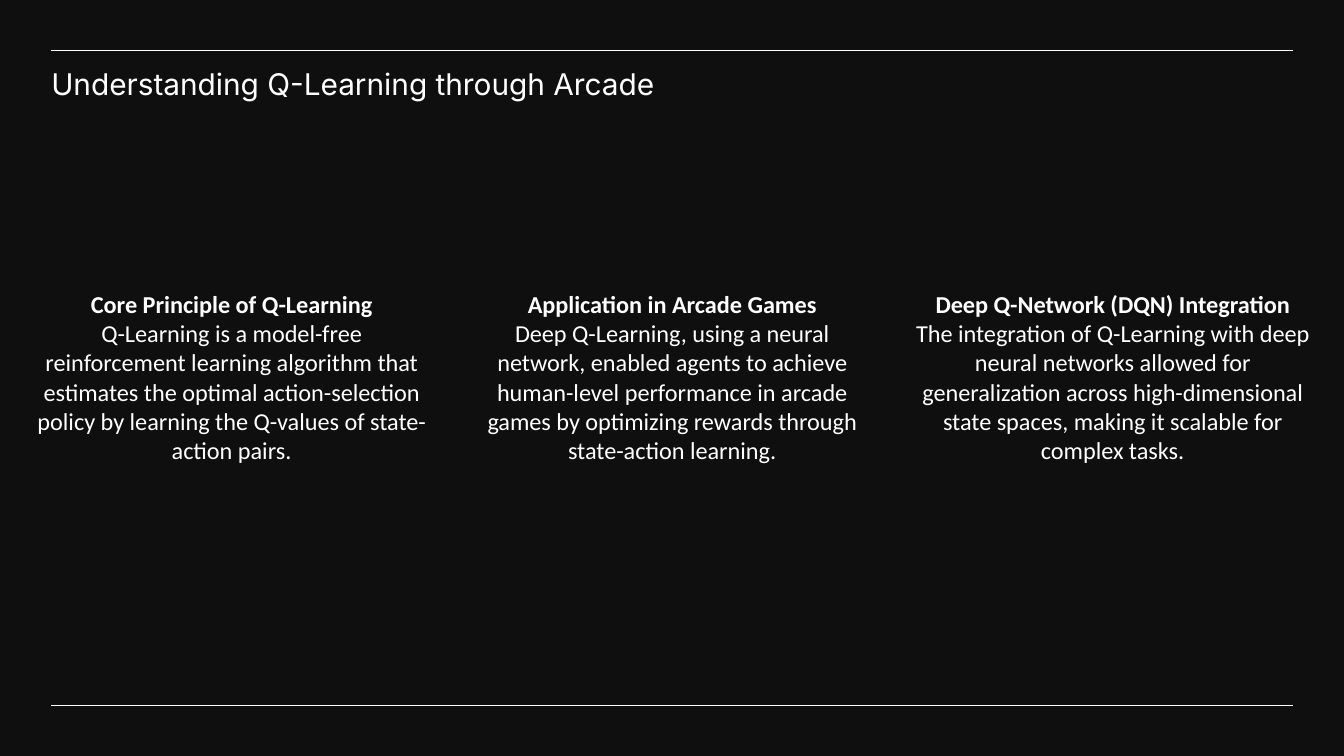
from lxml.etree import SubElement
from pptx import Presentation
from pptx.dml.color import RGBColor
from pptx.enum.shapes import MSO_CONNECTOR
from pptx.enum.text import MSO_ANCHOR, MSO_AUTO_SIZE, PP_ALIGN
from pptx.oxml.ns import qn
from pptx.util import Pt

HEX = {"back": "0F0F0F", "ink": "FFFFFF"}
HEAD = {"name": "Inter", "size": Pt(16), "bold": False}
LEAD = {"name": "Calibri", "size": Pt(13), "bold": True}
BODY = {**LEAD, "bold": False}
CARDS = [
    ("Core Principle of Q-Learning",
     "Q-Learning is a model-free reinforcement learning algorithm that "
     "estimates the optimal action-selection policy by learning the "
     "Q-values of state-action pairs."),
    ("Application in Arcade Games",
     "Deep Q-Learning, using a neural network, enabled agents to achieve "
     "human-level performance in arcade games by optimizing rewards "
     "through state-action learning."),
    ("Deep Q-Network (DQN) Integration",
     "The integration of Q-Learning with deep neural networks allowed for "
     "generalization across high-dimensional state spaces, making it "
     "scalable for complex tasks."),
]


def tint(name):
    return RGBColor.from_string(HEX[name])


def apply(thing, form):
    for key, value in form.items():
        setattr(thing, key, value)


def write(para, text, form, align):
    para.alignment = align
    run = para.add_run()
    run.text = text
    apply(run.font, form)
    run.font.color.rgb = tint("ink")


def set_frame(frame, pad, fit):
    apply(frame, {
        "word_wrap": True, "auto_size": fit,
        "vertical_anchor": MSO_ANCHOR.TOP,
        "margin_left": 0, "margin_right": 0,
        "margin_top": Pt(pad), "margin_bottom": Pt(pad),
    })


def add_rules(slide, left, top, width, height):
    for y in (top, top + height):
        rule = slide.shapes.add_connector(
            MSO_CONNECTOR.STRAIGHT, Pt(left), Pt(y), Pt(left + width), Pt(y))
        rule.line.width = Pt(0.75)
        rule.line.color.rgb = tint("ink")
        SubElement(rule._element.spPr, qn("a:effectLst"))


def add_title(slide, left, top, width, height):
    title = slide.shapes.title
    apply(title, {"left": Pt(left), "top": Pt(top),
                  "width": Pt(width), "height": Pt(height)})
    set_frame(title.text_frame, 7.2, MSO_AUTO_SIZE.NONE)
    write(title.text_frame.paragraphs[0],
          "Understanding Q-Learning through Arcade", HEAD, PP_ALIGN.LEFT)


def add_cards(slide, left, top, width, height, gap=24):
    wide = (width - gap * (len(CARDS) - 1)) / len(CARDS)
    for i, (lead, body) in enumerate(CARDS):
        box = slide.shapes.add_textbox(
            Pt(left + i * (wide + gap)), Pt(top), Pt(wide), Pt(height))
        frame = box.text_frame
        set_frame(frame, 0, MSO_AUTO_SIZE.SHAPE_TO_FIT_TEXT)
        write(frame.paragraphs[0], lead, LEAD, PP_ALIGN.CENTER)
        write(frame.add_paragraph(), body, BODY, PP_ALIGN.CENTER)


def main():
    deck = Presentation()
    deck.slide_width, deck.slide_height = Pt(720), Pt(405)
    slide = deck.slides.add_slide(deck.slide_layouts.get_by_name("Title Only"))
    slide.background.fill.solid()
    slide.background.fill.fore_color.rgb = tint("back")
    add_rules(slide, 27.5, 27, 665, 351)
    add_title(slide, 27.5, 28, 423, 28)
    add_cards(slide, 18, 155, 684, 94)
    deck.save("out.pptx")


if __name__ == "__main__":
    main()
